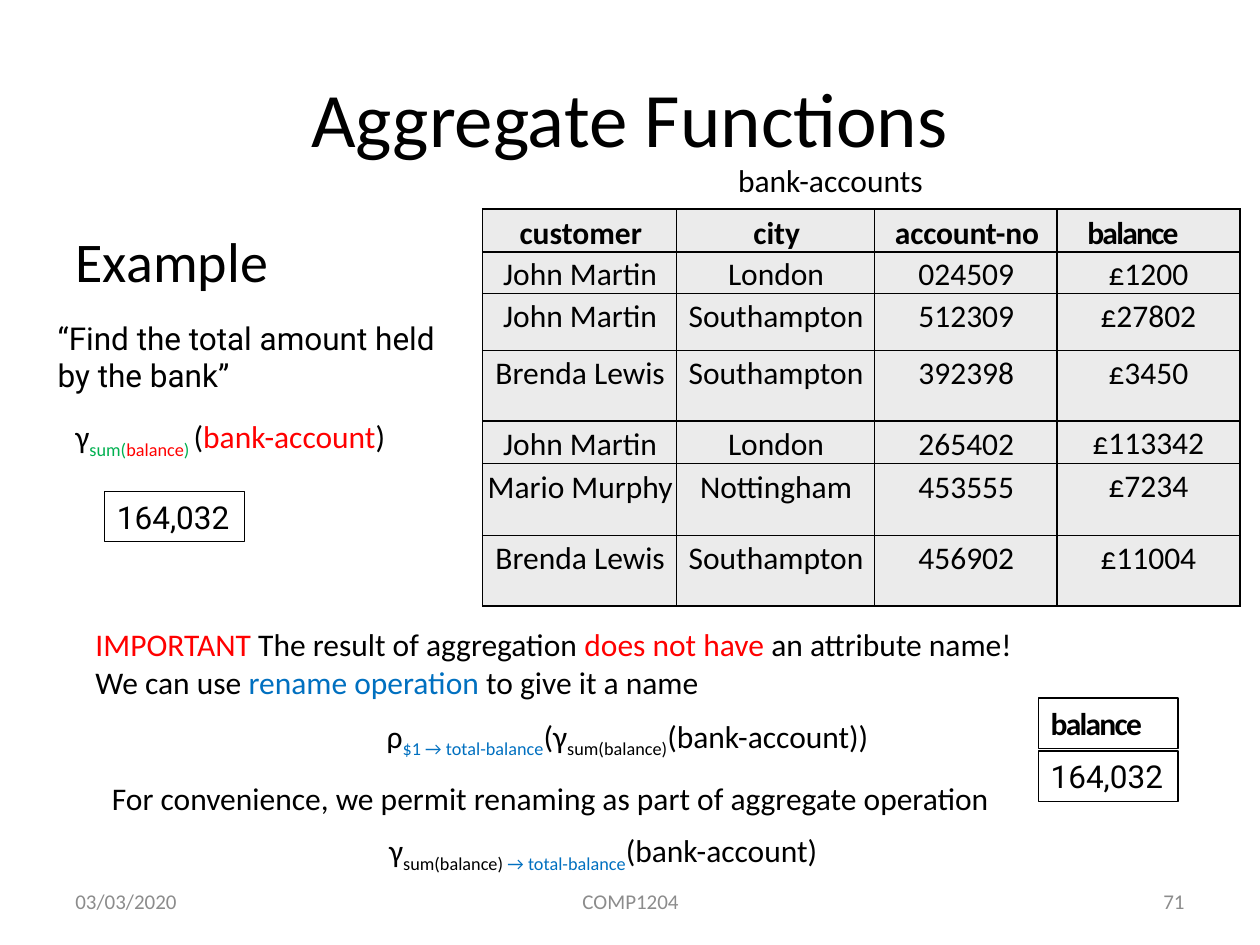
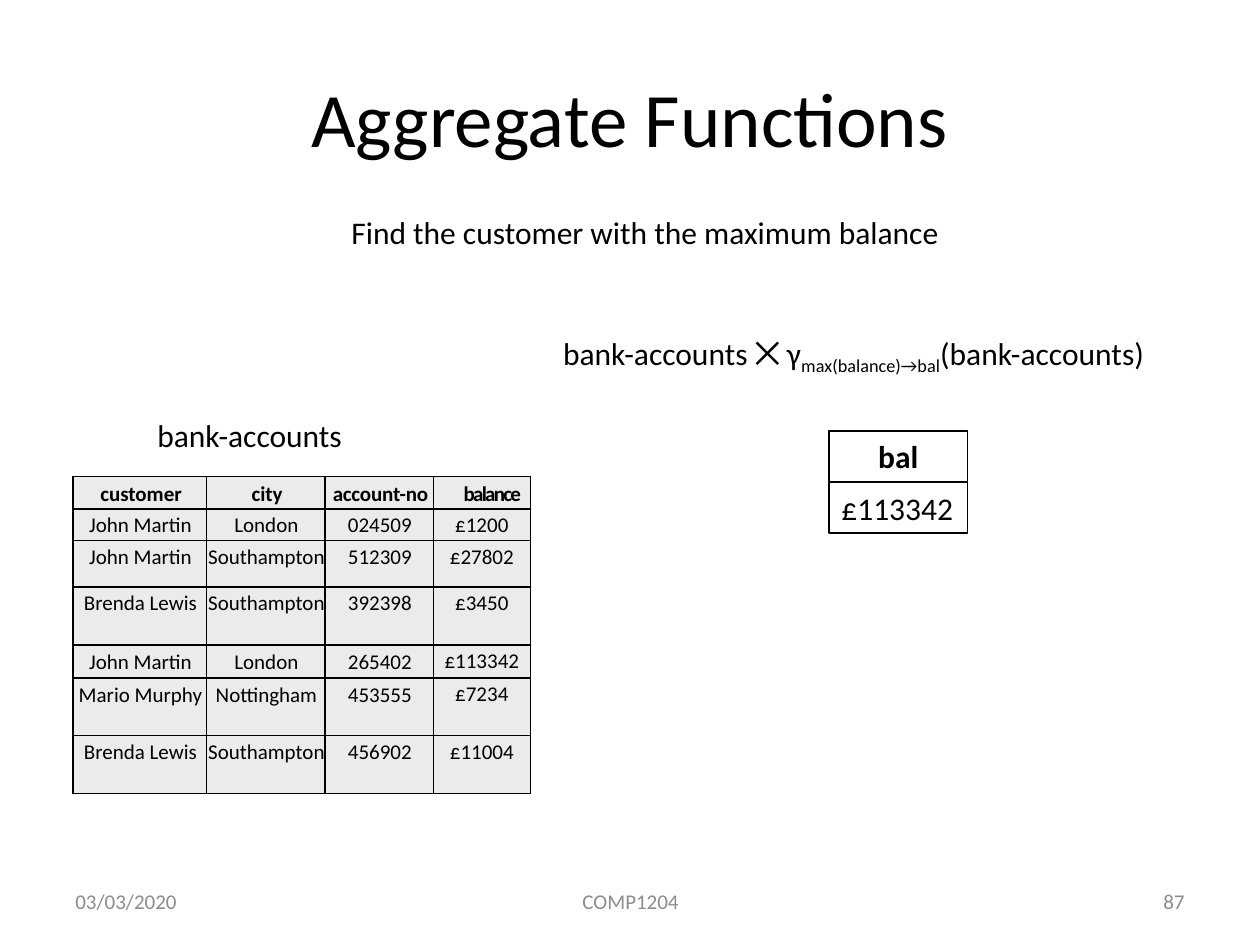
"""Build two slides on aggregate functions in relational algebra."""
from lxml.etree import SubElement
from pptx import Presentation
from pptx.dml.color import RGBColor
from pptx.enum.text import MSO_ANCHOR as Anchor, MSO_AUTO_SIZE as AutoSize, PP_ALIGN as Align
from pptx.oxml.ns import qn
from pptx.util import Inches, Pt

BLACK, RED, GREEN, BLUE = "000000", "FF0000", "00B050", "0070C0"
FOOTER_GREY, CELL_GREY = "8C8C8C", "EBEBEB"
TEXT_SIZE = 18
TITLE_LAYOUT, LIST_LAYOUT = 5, 1

ACCOUNTS = [
    ("customer", "city", "account-no", "balance"),
    ("John Martin", "London", "024509", "£1200"),
    ("John Martin", "Southampton", "512309", "£27802"),
    ("Brenda Lewis", "Southampton", "392398", "£3450"),
    ("John Martin", "London", "265402", "£113342"),
    ("Mario Murphy", "Nottingham", "453555", "£7234"),
    ("Brenda Lewis", "Southampton", "456902", "£11004"),
]
ROW_INSETS = [0.04, 0.03, 0.03, 0.03, 0.04, 0.04, 0.03]
ROW_SPACING = [4, 3.1, 3.4, 3.5, 3.8, 4, 3.8]
HEADER_TRACKING = [0, 0, -0.1, -1]


def rgb(hex_color):
    return RGBColor.from_string(hex_color)


def add_run(paragraph, text, color=BLACK, subscript=False, size=TEXT_SIZE,
            font="Calibri", bold=False, tracking=0):
    run = paragraph.add_run()
    run.text = text
    run.font.name = font
    run.font.size = Pt(size)
    run.font.bold = bold
    run.font.color.rgb = rgb(color)
    properties = run._r.get_or_add_rPr()
    if subscript:
        properties.set("baseline", "-25000")
    if tracking:
        properties.set("spc", str(round(tracking * 100)))


def set_indent(paragraph, inches):
    properties = paragraph._p.get_or_add_pPr()
    properties.set("marL", str(Inches(inches)))
    properties.set("indent", "0")
    return properties


def place(shape, box):
    shape.left, shape.top, shape.width, shape.height = map(Inches, box)


def add_text(slide, box, *lines, wrap=True, align=Align.LEFT, line_spacing=None,
             indent=0, **style):
    text_box = slide.shapes.add_textbox(*map(Inches, box))
    frame = text_box.text_frame
    frame.word_wrap = wrap
    frame.auto_size = AutoSize.SHAPE_TO_FIT_TEXT
    for number, runs in enumerate(lines):
        paragraph = frame.add_paragraph() if number else frame.paragraphs[0]
        paragraph.alignment = align
        paragraph.line_spacing = line_spacing
        if indent:
            set_indent(paragraph, indent)
        for run in runs:
            add_run(paragraph, *run, **style)
    return text_box


def add_formula(slide, box, *runs):
    add_text(slide, box, runs, wrap=False, line_spacing=1.2)


def add_result(slide, box, text, **style):
    result = add_text(slide, box, [(text,)], **style)
    result.line.color.rgb = rgb(BLACK)
    result.line.width = Pt(0.75)


def add_footer(slide, left, width, text, align):
    footer = add_text(slide, (left, 6.95, width, 0.4), [(text, FOOTER_GREY)],
                      align=align, size=12)
    footer.text_frame.auto_size = AutoSize.NONE
    footer.text_frame.vertical_anchor = Anchor.MIDDLE


def add_slide(deck, layout, number):
    slide = deck.slides.add_slide(deck.slide_layouts[layout])
    title = slide.shapes.title
    place(title, (0.5, 0.3, 9, 1.25))
    title.text_frame.vertical_anchor = Anchor.MIDDLE
    heading = title.text_frame.paragraphs[0]
    heading.alignment = Align.CENTER
    add_run(heading, "Aggregate Functions", size=44)
    add_footer(slide, 0.5, 2.33, "03/03/2020", Align.LEFT)
    add_footer(slide, 3.42, 3.17, "COMP1204", Align.CENTER)
    add_footer(slide, 7.17, 2.33, number, Align.RIGHT)
    return slide


def add_example_heading(slide):
    body = slide.placeholders[1]
    place(body, (0.5, 1.75, 9, 4.95))
    heading = body.text_frame.paragraphs[0]
    SubElement(set_indent(heading, 0), qn("a:buNone"))
    add_run(heading, "Example", size=32)


def add_borders(cell):
    properties = cell._tc.get_or_add_tcPr()
    for side in ("lnL", "lnR", "lnT", "lnB"):
        line = SubElement(properties, qn(f"a:{side}"), w=str(Pt(1)))
        fill = SubElement(line, qn("a:solidFill"))
        SubElement(fill, qn("a:srgbClr"), val=BLACK)


def fill_cell(cell, text, row, column, size):
    header, balance = row == 0, column == 3
    add_borders(cell)
    cell.fill.solid()
    cell.fill.fore_color.rgb = rgb(CELL_GREY)
    cell.margin_left = cell.margin_right = cell.margin_bottom = 0
    cell.margin_top = Inches(0.03 if balance and not header else ROW_INSETS[row])
    paragraph = cell.text_frame.paragraphs[0]
    paragraph.space_before = Pt(ROW_SPACING[row])
    if header and balance:
        paragraph.alignment = Align.LEFT
        set_indent(paragraph, 0.24)
    else:
        paragraph.alignment = Align.CENTER
        set_indent(paragraph, 0.02 if header else 0 if balance else 0.01)
    add_run(paragraph, text, size=size, bold=header,
            tracking=HEADER_TRACKING[column] if header else 0)


def add_accounts(slide, left, top, widths, heights, size, caption):
    add_text(slide, caption, [("bank-accounts",)])
    frame = slide.shapes.add_table(
        len(heights), len(widths), Inches(left), Inches(top),
        Inches(sum(widths)), Inches(sum(heights)))
    table = frame.table
    table.first_row = table.horz_banding = False
    for column, width in zip(table.columns, widths):
        column.width = Inches(width)
    for row, height in zip(table.rows, heights):
        row.height = Inches(height)
    for row, account in enumerate(ACCOUNTS):
        for column, text in enumerate(account):
            fill_cell(table.cell(row, column), text, row, column, size)


def build_total_slide(deck):
    slide = add_slide(deck, LIST_LAYOUT, "71")
    add_example_heading(slide)
    add_text(slide, (0.36, 2.48, 3.23, 0.71),
             [("“Find the total amount held by the bank”",)], font="Roboto")
    add_text(slide, (0.66, 4.91, 9, 0.71),
             [("IMPORTANT", RED), (" The result of aggregation ",),
              ("does not have ", RED), ("an attribute name!",)],
             [("We can use ",), ("rename operation ", BLUE), ("to give it a name",)])
    add_accounts(slide, 3.83, 1.66, [1.54, 1.57, 1.45, 1.45],
                 [0.3, 0.29, 0.45, 0.56, 0.3, 0.57, 0.56], TEXT_SIZE,
                 caption=(5.76, 1.23, 2.77, 0.4))
    add_formula(slide, (0.5, 3.19, 2.81, 0.46),
                ("γ",), ("sum(", GREEN, True), ("balance", RED, True),
                (") ", GREEN, True), ("(",), ("bank-account", RED), (")",))
    add_text(slide, (0.29, 6.13, 8.84, 0.4),
             [("For convenience, we permit renaming as part of aggregate operation",)],
             indent=0.5)
    add_formula(slide, (2.97, 5.57, 4.37, 0.44),
                ("ρ",), ("$1 → total-balance", BLUE, True), ("(γ",),
                ("sum(balance)", BLACK, True), ("(bank-account))",))
    add_formula(slide, (2.99, 6.48, 3.92, 0.46),
                ("γ",), ("sum(balance)", BLACK, True),
                (" → total-balance", BLUE, True), ("(bank-account)",))
    for left, top in ((0.83, 3.9), (8.24, 5.96)):
        add_result(slide, (left, top, 1.11, 0.4), "164,032", wrap=False, font="Roboto")
    add_result(slide, (8.24, 5.54, 1.11, 0.4), "balance", bold=True, tracking=-1)


def build_maximum_slide(deck):
    slide = add_slide(deck, TITLE_LAYOUT, "87")
    add_accounts(slide, 0.58, 3.78, [1.06, 0.94, 0.86, 0.77],
                 [0.26, 0.25, 0.37, 0.46, 0.26, 0.46, 0.46], 12,
                 caption=(1.15, 3.25, 2.77, 0.4))
    add_formula(slide, (4.37, 2.53, 5.19, 0.46),
                ("bank-accounts ⨉ γ",), ("max(balance)→bal", BLACK, True),
                ("(bank-accounts)",))
    add_result(slide, (6.58, 3.42, 1.1, 0.4), "bal", align=Align.CENTER, bold=True)
    add_result(slide, (6.58, 3.83, 1.1, 0.4), "£113342", wrap=False)
    add_text(slide, (2.69, 1.64, 4.92, 0.4),
             [("Find the customer with the maximum balance",)], wrap=False)


def main():
    deck = Presentation()
    deck.slide_width, deck.slide_height = Inches(10), Inches(7.5)
    build_total_slide(deck)
    build_maximum_slide(deck)
    deck.save("out.pptx")


if __name__ == "__main__":
    main()
